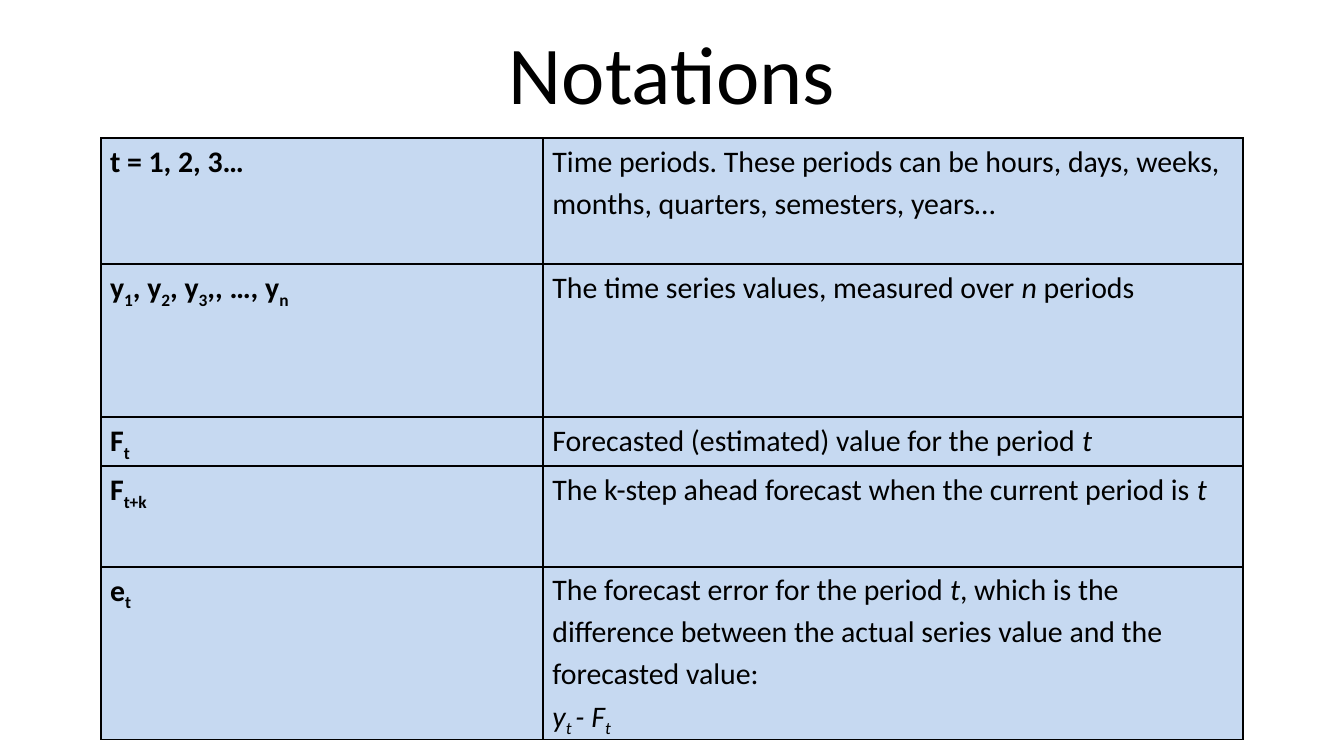
from lxml import etree
from pptx import Presentation
from pptx.dml.color import RGBColor
from pptx.enum.text import MSO_ANCHOR, PP_ALIGN
from pptx.oxml import parse_xml
from pptx.util import Pt

CENTER = PP_ALIGN.CENTER
LEFT = PP_ALIGN.LEFT
MIDDLE = MSO_ANCHOR.MIDDLE
BLACK = RGBColor(0x00, 0x00, 0x00)
PALE_BLUE = RGBColor(0xC6, 0xD9, 0xF1)
DRAWING_NS = "http://schemas.openxmlformats.org/drawingml/2006/main"
TITLE_ONLY = 5

COLUMN_WIDTHS = [237, 375]
ROW_HEIGHTS = [67.5, 82, 26.25, 54, 92.5]

# Each cell holds paragraphs; each paragraph holds (text, style) spans,
# where style may contain "i" for italic and "s" for subscript.
NOTATIONS = [
    ([[("t = 1, 2, 3…", "")]],
     [[("Time periods. These periods can be hours, days, weeks, months, "
        "quarters, semesters, years…", "")]]),
    ([[("y", ""), ("1", "s"), (", y", ""), ("2", "s"), (", y", ""), ("3", "s"),
       (",, …, y", ""), ("n", "s")]],
     [[("The time series values, measured over ", ""), ("n ", "i"), ("periods", "")]]),
    ([[("F", ""), ("t", "s")]],
     [[("Forecasted (estimated) value for the period ", ""), ("t", "i")]]),
    ([[("F", ""), ("t+k", "s")]],
     [[("The k-step ahead forecast when the current period is ", ""), ("t", "i")]]),
    ([[("e", ""), ("t", "s")]],
     [[("The forecast error for the period ", ""), ("t", "i"),
       (", which is the difference between the actual series value and the "
        "forecasted value:", "")],
      [("y", "i"), ("t ", "is"), ("- F", "i"), ("t", "is")]]),
]


def write_text(frame, paragraphs, size, bold=False, align=LEFT, spacing=1.0):
    for index, spans in enumerate(paragraphs):
        para = frame.paragraphs[0] if index == 0 else frame.add_paragraph()
        para.alignment = align
        para.line_spacing = spacing
        for text, style in spans:
            span = para.add_run()
            span.text = text
            span.font.name = "Calibri"
            span.font.size = Pt(size)
            span.font.bold = bold
            span.font.italic = "i" in style
            span.font.color.rgb = BLACK
            if "s" in style:
                span.font._element.set("baseline", "-25000")


def add_borders(cell):
    properties = cell._tc.get_or_add_tcPr()
    for side in ("lnL", "lnR", "lnT", "lnB"):
        line = parse_xml(f'<a:{side} xmlns:a="{DRAWING_NS}" w="{Pt(1)}"/>')
        fill = etree.SubElement(line, f"{{{DRAWING_NS}}}solidFill")
        etree.SubElement(fill, f"{{{DRAWING_NS}}}srgbClr", val=str(BLACK))
        properties.append(line)


deck = Presentation()
deck.slide_width, deck.slide_height = Pt(720), Pt(405)
page = deck.slides.add_slide(deck.slide_layouts[TITLE_ONLY])

title = page.shapes.title
title.left, title.top, title.width, title.height = Pt(36), Pt(4.5), Pt(648), Pt(67.5)
title.text_frame.vertical_anchor = MIDDLE
write_text(title.text_frame, [[("Notations", "")]], size=44, align=CENTER)

table = page.shapes.add_table(
    len(ROW_HEIGHTS), len(COLUMN_WIDTHS), Pt(54), Pt(74),
    Pt(sum(COLUMN_WIDTHS)), Pt(sum(ROW_HEIGHTS))).table
table.first_row = False
table.horz_banding = False
for column, width in zip(table.columns, COLUMN_WIDTHS):
    column.width = Pt(width)

for row, height, contents in zip(table.rows, ROW_HEIGHTS, NOTATIONS):
    row.height = Pt(height)
    for index, (cell, paragraphs) in enumerate(zip(row.cells, contents)):
        add_borders(cell)
        cell.fill.solid()
        cell.fill.fore_color.rgb = PALE_BLUE
        cell.margin_left = cell.margin_right = Pt(5)
        cell.margin_top = cell.margin_bottom = Pt(0)
        write_text(cell.text_frame, paragraphs, size=16, bold=index == 0, spacing=1.15)

deck.save("out.pptx")
